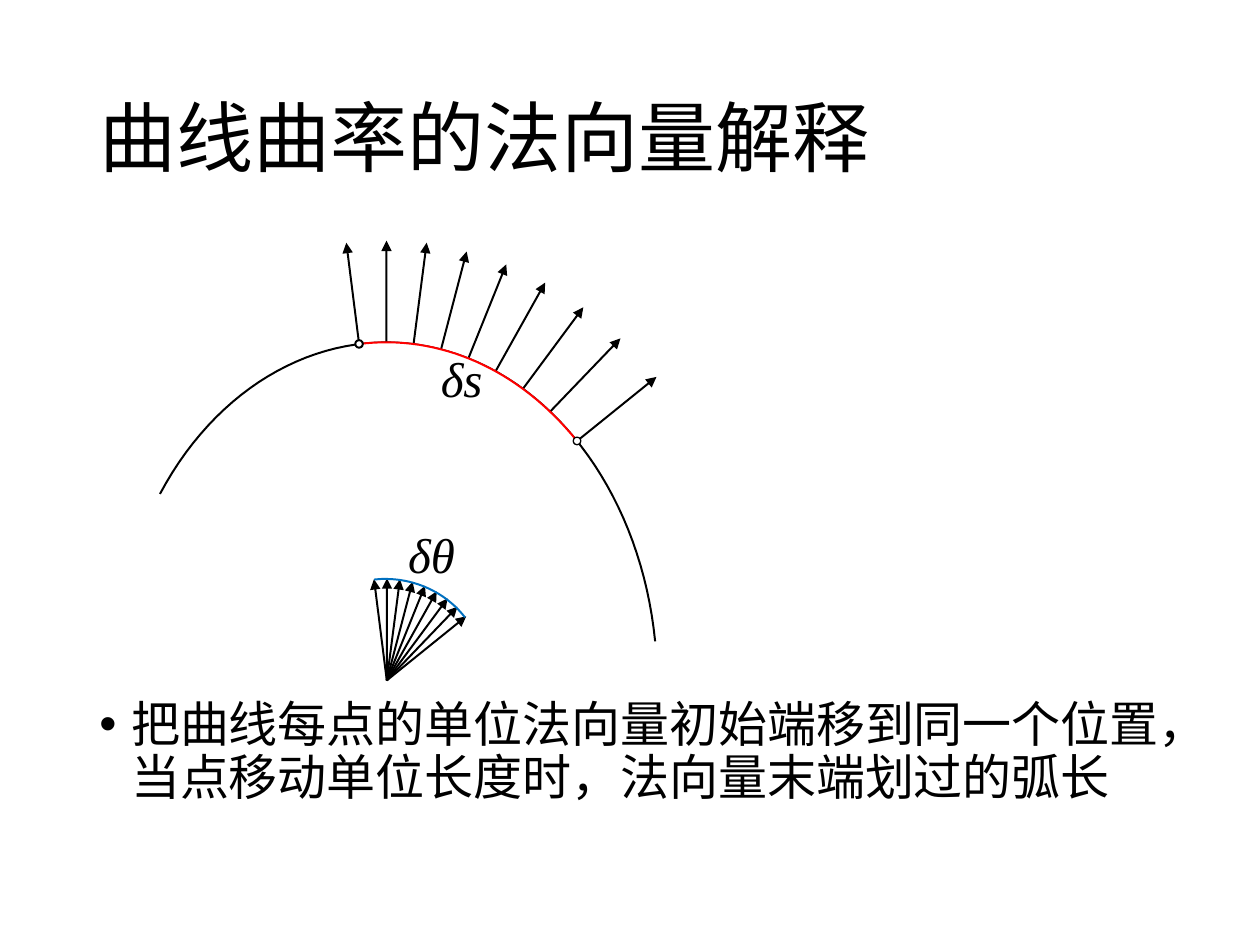
import math
import lxml.etree
import pptx
import pptx.util
import pptx.dml.color
import pptx.enum.shapes
import pptx.enum.text
import pptx.oxml.ns

Cm, Pt = pptx.util.Cm, pptx.util.Pt
qn = pptx.oxml.ns.qn

# Content; all places are in inches
TITLE = "曲线曲率的法向量解释"
BODY = "把曲线每点的单位法向量初始端移到同一个位置，当点移动单位长度时，法向量末端划过的弧长"
COLORS = {"ink": "000000", "paper": "FFFFFF", "arc": "FF0000", "sweep": "0070C0"}
CJK, LATIN = "Noto Sans CJK SC", "Times New Roman"
LABELS = [("δθ", (3.14, 4.11, 0.58, 0.57)), ("δs", (3.4, 2.72, 0.54, 0.57))]

# Unit normals turn by equal steps from points equally spaced in x
FOOT_Y = [2.73, 2.72, 2.73, 2.78, 2.85, 2.95, 3.09, 3.27, 3.5]
FIRST_X, LAST_X = 2.85, 4.58
FIRST_ANGLE, ANGLE_STEP = -7.2, 7.29
NORMAL = 0.81
FAN = (3.07, 5.4)

# Bezier chains: start point, then three points for each segment
CURVES = [
    ([(5.2, 5.09), (5.09, 3.97), (4.44, 3.05), (3.56, 2.79),
      (2.69, 2.53), (1.77, 2.98), (1.27, 3.92)], "ink", None),
    ([(4.58, 3.5), (4.12, 2.93), (3.49, 2.65), (2.85, 2.73)], "arc", "paper"),
    ([(3.69, 4.9), (3.52, 4.68), (3.24, 4.57), (2.97, 4.6)], "sweep", None),
]
SEGMENT_STEPS = 32
DOT = 0.06


def inch(*values):
    return [Cm(v * 2.54) for v in values]


def rgb(name):
    return pptx.dml.color.RGBColor.from_string(COLORS[name])


def set_line(sp, color, width=1.13):
    sp.line.color.rgb = rgb(color)
    sp.line.width = Pt(width)


def set_fill(sp, color):
    if color:
        sp.fill.solid()
        sp.fill.fore_color.rgb = rgb(color)
    else:
        sp.fill.background()


def write(sp, text, face, frame, font, para):
    tf = sp.text_frame
    p = tf.paragraphs[0]
    r = p.add_run()
    r.text = text
    for target, values in ((tf, frame), (p, para), (r.font, {"name": face, **font})):
        for key, value in values.items():
            setattr(target, key, value)
    r.font.color.rgb = rgb("ink")
    lxml.etree.SubElement(r.font._element, qn("a:ea")).set("typeface", face)
    return p


def add_arrow(shapes, start, end):
    sp = shapes.add_connector(pptx.enum.shapes.MSO_CONNECTOR.STRAIGHT,
                              *inch(*start, *end))
    set_line(sp, "ink")
    lxml.etree.SubElement(sp.line._get_or_add_ln(), qn("a:tailEnd")).set("type", "triangle")
    lxml.etree.SubElement(sp._element.spPr, qn("a:effectLst"))


def bezier(points):
    result = [points[0]]
    for k in range(0, len(points) - 1, 3):
        for n in range(1, SEGMENT_STEPS + 1):
            t = n / SEGMENT_STEPS
            weights = [math.comb(3, j) * t**j * (1 - t)**(3 - j) for j in range(4)]
            result.append(tuple(sum(w * q[axis] for w, q in zip(weights, points[k:k + 4]))
                                for axis in (0, 1)))
    return result


prs = pptx.Presentation()
prs.slide_width, prs.slide_height = inch(10, 7.5)
s = prs.slides.add_slide(prs.slide_layouts[5])

# Title
sp = s.shapes.title
sp.left, sp.top, sp.width, sp.height = inch(0.69, 0.4, 8.62, 1.45)
write(sp, TITLE, CJK,
      {"word_wrap": True, "vertical_anchor": pptx.enum.text.MSO_ANCHOR.MIDDLE},
      {"size": Pt(44)},
      {"alignment": pptx.enum.text.PP_ALIGN.LEFT, "line_spacing": 0.9})

# Explanation with a hanging bullet
sp = s.shapes.add_textbox(*inch(0.69, 5.51, 8.62, 1.24))
p = write(sp, BODY, CJK, {"word_wrap": True}, {"size": Pt(28)}, {"line_spacing": 0.9})
pPr = p._p.get_or_add_pPr()
indent = Cm(0.64)
pPr.set("marL", str(indent))
pPr.set("indent", str(-indent))
lxml.etree.SubElement(pPr, qn("a:buFont")).set("typeface", "Arial")
lxml.etree.SubElement(pPr, qn("a:buChar")).set("char", "•")

# Normals on the curve, and the same normals moved to one point
shapes = s.shapes.add_group_shape().shapes
gap = (LAST_X - FIRST_X) / (len(FOOT_Y) - 1)
feet = [(FIRST_X + i * gap, y) for i, y in enumerate(FOOT_Y)]
for i, foot in enumerate(feet):
    angle = math.radians(FIRST_ANGLE + i * ANGLE_STEP)
    for x, y in (foot, FAN):
        add_arrow(shapes, (x, y),
                  (x + NORMAL * math.sin(angle), y - NORMAL * math.cos(angle)))

# Curve, arc and swept arc
for points, color, fill in CURVES:
    start, *rest = [inch(*q) for q in bezier(points)]
    fb = shapes.build_freeform(*start)
    fb.add_line_segments(rest, close=False)
    sp = fb.convert_to_shape()
    sp.shadow.inherit = False
    set_fill(sp, fill)
    set_line(sp, color)

# Ends of the arc
for (x, y), width in ((feet[0], 1.13), (feet[-1], 0.75)):
    sp = shapes.add_shape(pptx.enum.shapes.MSO_SHAPE.OVAL,
                          *inch(x - DOT / 2, y - DOT / 2, DOT, DOT))
    sp.shadow.inherit = False
    set_fill(sp, "paper")
    set_line(sp, "ink", width)

# Labels
for text, place in LABELS:
    sp = s.shapes.add_textbox(*inch(*place))
    write(sp, text, LATIN,
          {"word_wrap": False, "auto_size": pptx.enum.text.MSO_AUTO_SIZE.SHAPE_TO_FIT_TEXT},
          {"size": Pt(28), "italic": True}, {})

prs.save("out.pptx")
